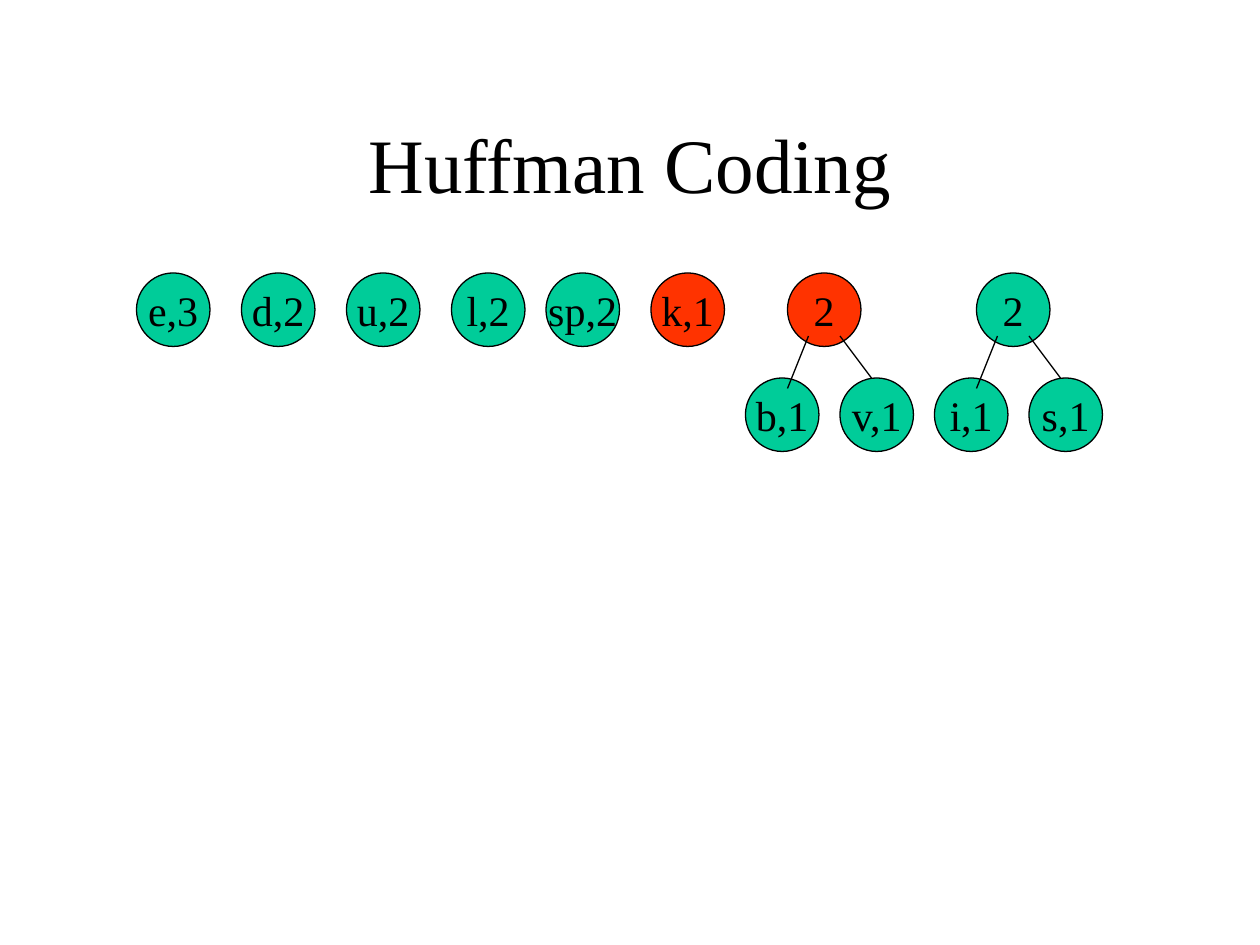
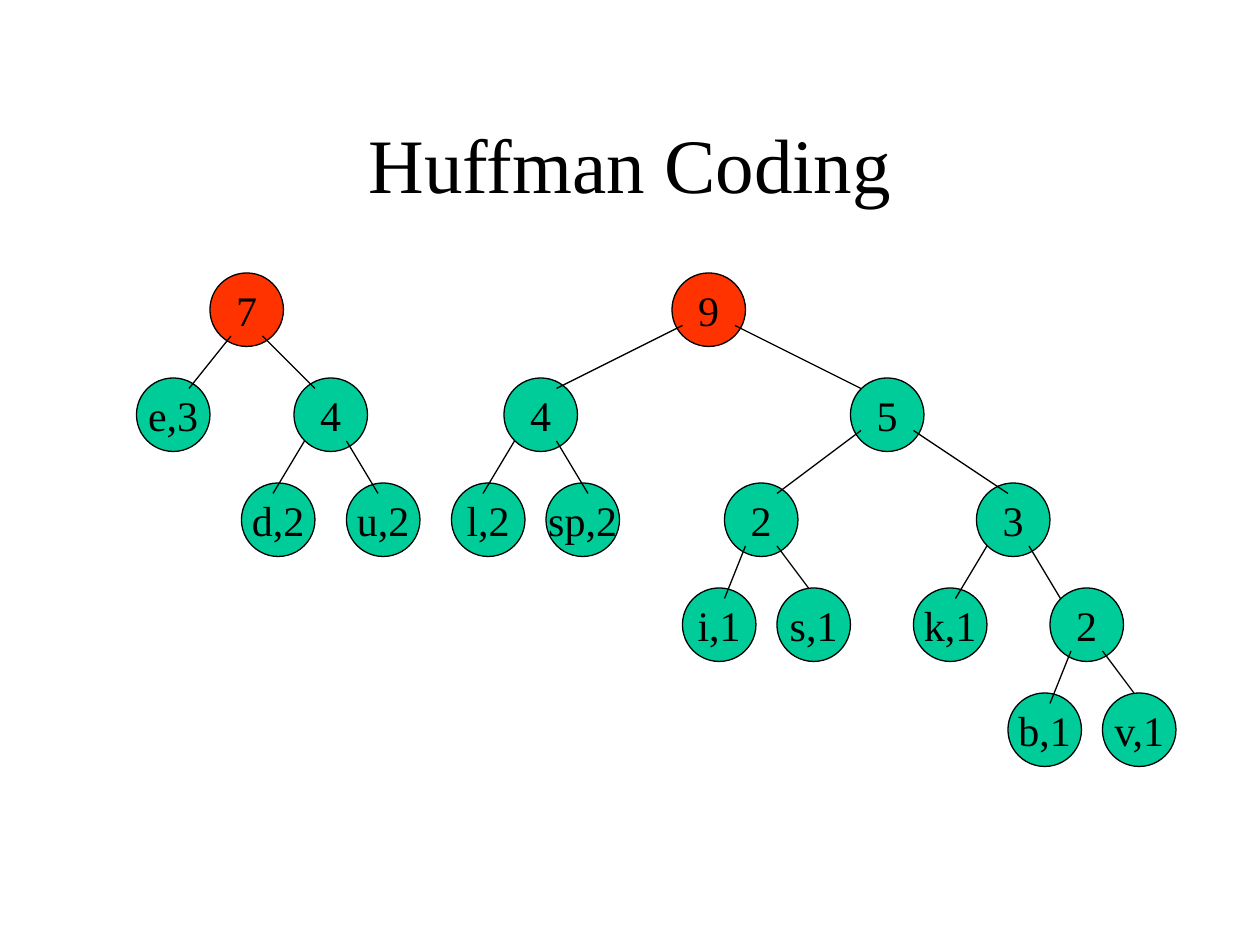
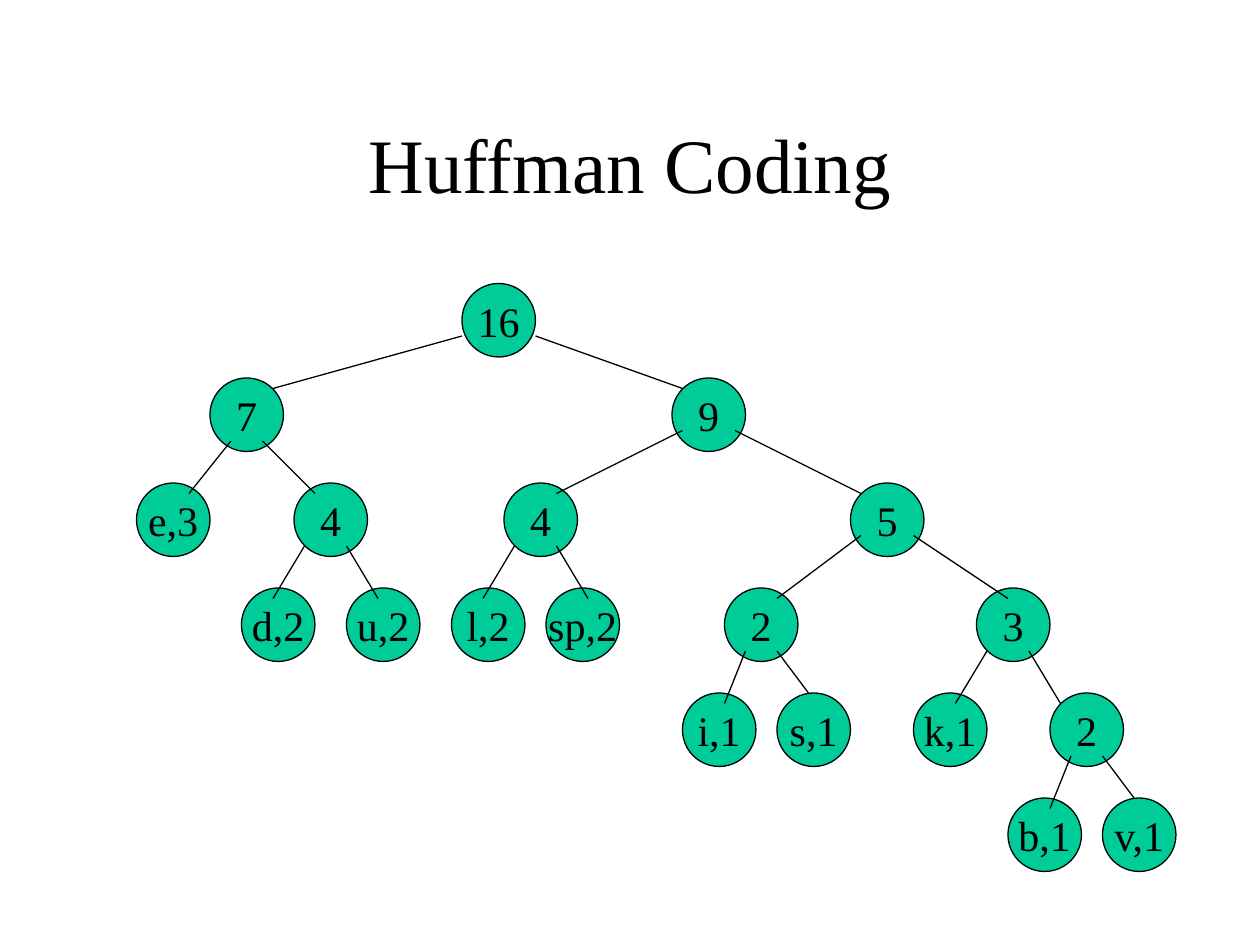
import dataclasses

import lxml.etree
import pptx
import pptx.dml.color
import pptx.enum.shapes
import pptx.enum.text
import pptx.oxml.ns
import pptx.util

Pt = pptx.util.Pt


@dataclasses.dataclass(frozen=True)
class Theme:
    font: str = "Times New Roman"
    ink: str = "000000"
    resting: str = "00CC99"
    merging: str = "FF3300"
    title_size: int = 44
    label_size: int = 24
    outline: float = 0.75
    diameter: int = 42
    level_step: int = 60
    forest_top: int = 156


@dataclasses.dataclass(frozen=True)
class Branch:
    subtree: "Node"
    shift: int
    start: tuple
    end: tuple


@dataclasses.dataclass(frozen=True)
class Node:
    label: str
    branches: tuple = ()
    drop: int = Theme.level_step


THEME = Theme()


def rgb(code):
    return pptx.dml.color.RGBColor.from_string(code)


def style_text(frame, size):
    frame.vertical_anchor = pptx.enum.text.MSO_ANCHOR.MIDDLE
    line = frame.paragraphs[0]
    line.alignment = pptx.enum.text.PP_ALIGN.CENTER
    line.font.name = THEME.font
    line.font.size = Pt(size)
    line.font.color.rgb = rgb(THEME.ink)


def style_line(line):
    line.color.rgb = rgb(THEME.ink)
    line.width = Pt(THEME.outline)


def add_titled_slide(deck, heading):
    slide = deck.slides.add_slide(deck.slide_layouts[5])
    title = slide.shapes.title
    title.left, title.top, title.width, title.height = Pt(54), Pt(48), Pt(612), Pt(90)
    title.text_frame.text = heading
    style_text(title.text_frame, THEME.title_size)
    return slide


def add_symbol(slide, label, left, top, color):
    symbol = slide.shapes.add_shape(
        pptx.enum.shapes.MSO_SHAPE.OVAL,
        Pt(left), Pt(top), Pt(THEME.diameter), Pt(THEME.diameter))
    symbol.shadow.inherit = False
    symbol.fill.solid()
    symbol.fill.fore_color.rgb = rgb(color)
    style_line(symbol.line)
    symbol.text_frame.word_wrap = False
    symbol.text_frame.text = label
    style_text(symbol.text_frame, THEME.label_size)


def add_edge(slide, left, top, start, end):
    edge = slide.shapes.add_connector(
        pptx.enum.shapes.MSO_CONNECTOR.STRAIGHT,
        Pt(left + start[0]), Pt(top + start[1]),
        Pt(left + end[0]), Pt(top + end[1]))
    style_line(edge.line)
    lxml.etree.SubElement(edge._element.spPr, pptx.oxml.ns.qn("a:effectLst"))


def add_tree(slide, node, left, top=THEME.forest_top, color=THEME.resting):
    for branch in node.branches:
        add_tree(slide, branch.subtree, left + branch.shift, top + node.drop)
    add_symbol(slide, node.label, left, top, color)
    for branch in node.branches:
        add_edge(slide, left, top, branch.start, branch.end)


def pair_of_ones(first, second):
    return Node("2", (
        Branch(Node(first), -24, (12, 36), (0, 66)),
        Branch(Node(second), 30, (30, 36), (48, 60))))


def narrow_pair(label, first, first_shift, second, second_shift):
    return Node(label, (
        Branch(first, first_shift, (6, 36), (-12, 66)),
        Branch(second, second_shift, (30, 36), (48, 66))))


def main():
    e, d, u, l, sp, k = (Node(label) for label in ("e,3", "d,2", "u,2", "l,2", "sp,2", "k,1"))
    b_v = pair_of_ones("b,1", "v,1")
    i_s = pair_of_ones("i,1", "s,1")
    d_u = narrow_pair("4", d, -30, u, 30)
    l_sp = narrow_pair("4", l, -30, sp, 24)
    k_b_v = narrow_pair("3", k, -36, b_v, 42)
    five = Node("5", (
        Branch(i_s, -72, (6, 30), (-42, 66)),
        Branch(k_b_v, 72, (36, 30), (90, 66))))
    seven = Node("7", (
        Branch(e, -42, (12, 36), (-12, 66)),
        Branch(d_u, 48, (30, 36), (60, 66))))
    nine = Node("9", (
        Branch(l_sp, -96, (6, 30), (-66, 66)),
        Branch(five, 102, (36, 30), (108, 66))))
    sixteen = Node("16", (
        Branch(seven, -144, (0, 30), (-108, 60)),
        Branch(nine, 120, (42, 30), (126, 66 - 6))), drop=54)

    deck = pptx.Presentation()
    deck.slide_width, deck.slide_height = Pt(720), Pt(540)
    heading = "Huffman Coding"

    queue = add_titled_slide(deck, heading)
    for node, left in ((e, 78), (d, 138), (u, 198), (l, 258), (sp, 312), (i_s, 558)):
        add_tree(queue, node, left)
    for node, left in ((k, 372), (b_v, 450)):
        add_tree(queue, node, left, color=THEME.merging)

    last_merge = add_titled_slide(deck, heading)
    for node, left in ((seven, 120), (nine, 384)):
        add_tree(last_merge, node, left, color=THEME.merging)

    code_tree = add_titled_slide(deck, heading)
    add_tree(code_tree, sixteen, 264, top=162)

    deck.save("out.pptx")


if __name__ == "__main__":
    main()
